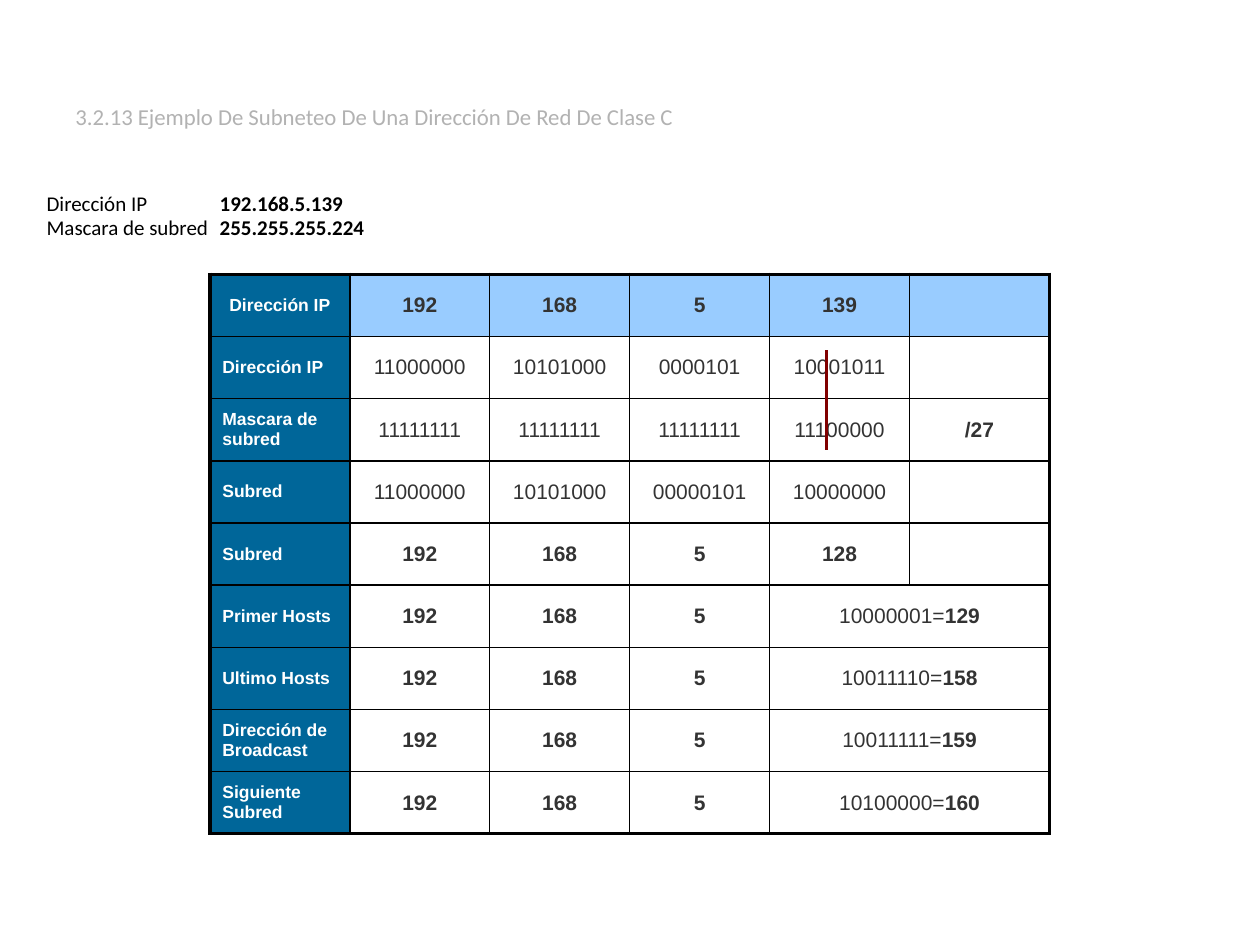
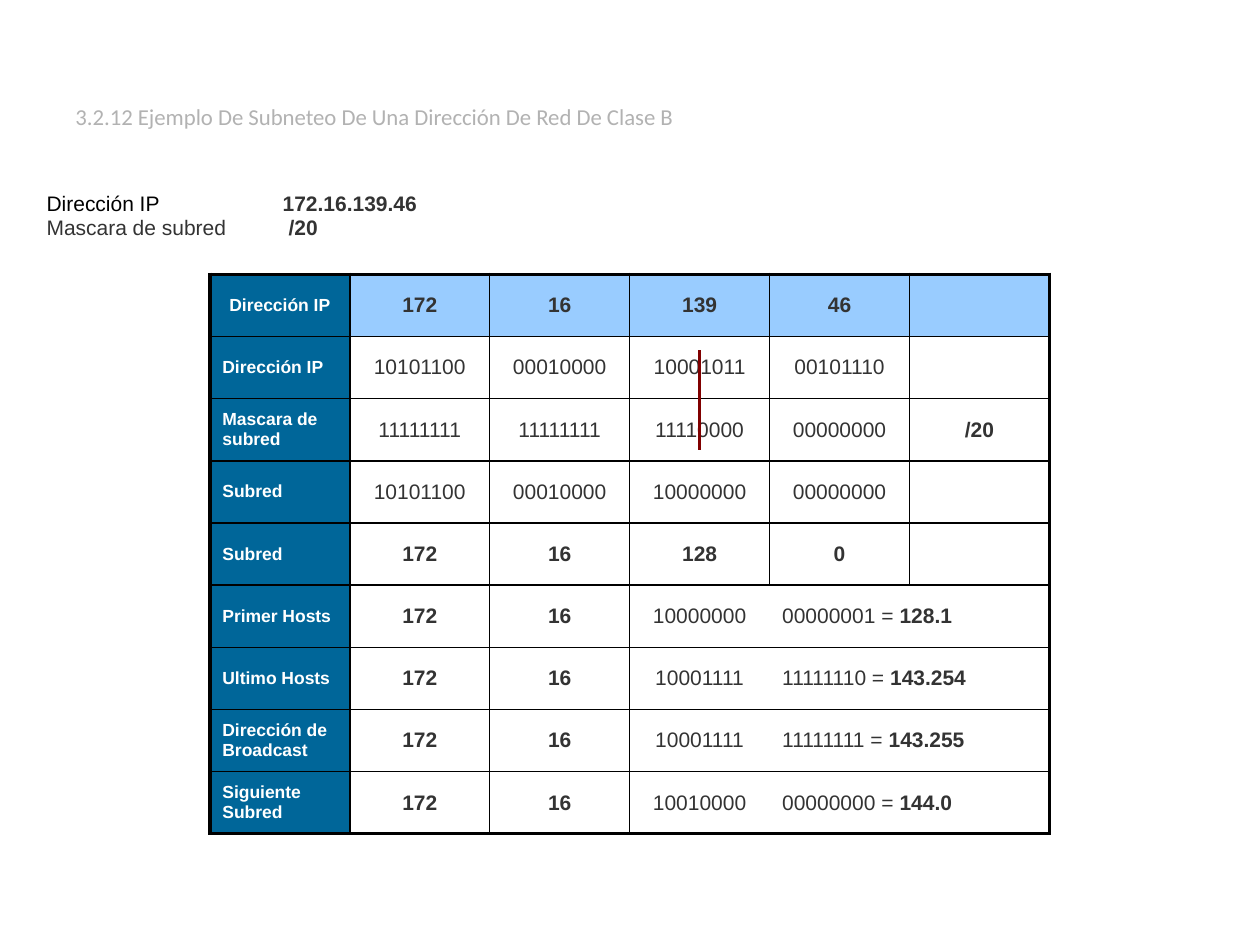
from lxml.etree import SubElement
from pptx import Presentation
from pptx.dml.color import RGBColor
from pptx.enum.shapes import MSO_CONNECTOR
from pptx.enum.text import MSO_ANCHOR, PP_ALIGN
from pptx.oxml.ns import qn
from pptx.util import Cm, Pt

BLACK = RGBColor(0x00, 0x00, 0x00)
WHITE = RGBColor(0xFF, 0xFF, 0xFF)
GRAY = RGBColor(0xB2, 0xB2, 0xB2)
DARK = RGBColor(0x33, 0x33, 0x33)
BLUE = RGBColor(0x00, 0x66, 0x99)
SKY = RGBColor(0x99, 0xCC, 0xFF)
RED = RGBColor(0x80, 0x00, 0x00)

LABELS = ["Dirección IP", "Dirección IP", "Mascara de subred", "Subred", "Subred",
          "Primer Hosts", "Ultimo Hosts", "Dirección de Broadcast", "Siguiente Subred"]
COLS = 6
HOSTS = 5  # first row whose last two cells are merged

# A "|" in a cell parts the plain run from the bold one.
SLIDES = [
    {"title": "3.2.13 Ejemplo De Subneteo De Una Dirección De Red De Clase C",
     "font": "Calibri", "tone": BLACK, "cut": 16.66, "joined": False,
     "intro": [("Dirección IP \t\t", "192.168.5.139"),
               ("Mascara de subred \t", "255.255.255.224")],
     "rows": [["192", "168", "5", "139"],
              ["11000000", "10101000", "0000101", "10001011"],
              ["11111111", "11111111", "11111111", "11100000", "/27"],
              ["11000000", "10101000", "00000101", "10000000"],
              ["192", "168", "5", "128"],
              ["192", "168", "5", "10000001=|129"],
              ["192", "168", "5", "10011110=|158"],
              ["192", "168", "5", "10011111=|159"],
              ["192", "168", "5", "10100000=|160"]]},
    {"title": "3.2.12 Ejemplo De Subneteo De Una Dirección De Red De Clase B",
     "font": "Arial", "tone": DARK, "cut": 14.1, "joined": True,
     "intro": [("Dirección IP \t\t", "172.16.139.46"),
               ("Mascara de subred\t ", "/20")],
     "rows": [["172", "16", "139", "46"],
              ["10101100", "00010000", "10001011", "00101110"],
              ["11111111", "11111111", "11110000", "00000000", "/20"],
              ["10101100", "00010000", "10000000", "00000000"],
              ["172", "16", "128", "0"],
              ["172", "16", "10000000", "00000001 = |128.1"],
              ["172", "16", "10001111", "11111110 = |143.254"],
              ["172", "16", "10001111", "11111111 = |143.255"],
              ["172", "16", "10010000", "00000000 = |144.0"]]},
]


def add_run(para, text, font, size, color, bold=False):
    run = para.add_run()
    run.text = text
    run.font.name = font
    run.font.size = Pt(size)
    run.font.color.rgb = color
    run.font.bold = bold


def set_edges(cell, **widths):
    """Draw the cell's edges L, R, T and B in points; 0 hides an edge."""
    props = cell._tc.get_or_add_tcPr()
    for side, width in widths.items():
        line = SubElement(props, qn("a:ln" + side), w=str(Pt(width)))
        if width:
            fill = SubElement(line, qn("a:solidFill"))
            SubElement(fill, qn("a:srgbClr"), val=str(BLACK))
        else:
            SubElement(line, qn("a:noFill"))


deck = Presentation()
deck.slide_width, deck.slide_height = Cm(25.4), Cm(19.05)

for data in SLIDES:
    slide = deck.slides.add_slide(deck.slide_layouts[6])
    shapes = slide.shapes

    title = shapes.add_textbox(Cm(1.27), Cm(0.76), Cm(22.86), Cm(3.18)).text_frame
    title.word_wrap = True
    title.vertical_anchor = MSO_ANCHOR.MIDDLE
    add_run(title.paragraphs[0], data["title"], "Calibri", 13, GRAY)

    intro = shapes.add_textbox(Cm(0.69), Cm(3.81), Cm(24), Cm(1.32)).text_frame
    intro.word_wrap = True
    for i, (name, value) in enumerate(data["intro"]):
        para = intro.add_paragraph() if i else intro.paragraphs[0]
        para.line_spacing = 0.8
        para.space_before = Pt(2.4)
        props = para._p.get_or_add_pPr()
        props.set("marL", str(Cm(0.95)))
        props.set("indent", str(-Cm(0.95)))
        add_run(para, name, data["font"], 12, data["tone"] if i else BLACK)
        add_run(para, value, data["font"], 12, data["tone"], True)

    count = len(LABELS)
    table = shapes.add_table(count, COLS, Cm(4.23), Cm(5.53), Cm(16.93), Cm(11.28)).table
    table.first_row = table.horz_banding = False
    for r, (label, values) in enumerate(zip(LABELS, data["rows"])):
        merged = r >= HOSTS
        if merged:
            table.cell(r, 4).merge(table.cell(r, 5))
        texts = [label] + values
        if merged and not data["joined"]:
            texts[4:] = [values[3]]
        texts += [""] * (COLS - len(texts))
        for c, text in enumerate(texts):
            cell = table.cell(r, c)
            open_pair = merged and data["joined"]
            last = c == COLS - 1 or (merged and c == 4)
            set_edges(cell,
                      L=2.25 if c == 0 else 0 if open_pair and c == 4 else 1,
                      R=2.25 if last else 0 if open_pair and c == 3 else 1,
                      T=2.25 if r == 0 else 1,
                      B=2.25 if r == count - 1 else 1)
            if c == 0 or r == 0:
                cell.fill.solid()
                cell.fill.fore_color.rgb = SKY if c else BLUE
            else:
                cell.fill.background()
            if not text:
                continue
            cell.vertical_anchor = MSO_ANCHOR.MIDDLE
            para = cell.text_frame.paragraphs[0]
            size = 12 if c else 10
            para.space_before = Pt(size * 0.2)
            left = (c == 0 and r > 0) or (open_pair and c == 4)
            para.alignment = PP_ALIGN.LEFT if left else PP_ALIGN.CENTER
            for part in text.split("|"):
                binary = len(part) > 6 and set(part) <= set("01= ")
                add_run(para, part, "Arial", size, DARK if c else WHITE, not binary)

    cut = shapes.add_connector(MSO_CONNECTOR.STRAIGHT, Cm(data["cut"]), Cm(7.06),
                               Cm(data["cut"]), Cm(9.07))
    cut.line.color.rgb = RED
    cut.line.width = Pt(1.5)
    SubElement(cut._element.spPr, qn("a:effectLst"))

deck.save("out.pptx")
